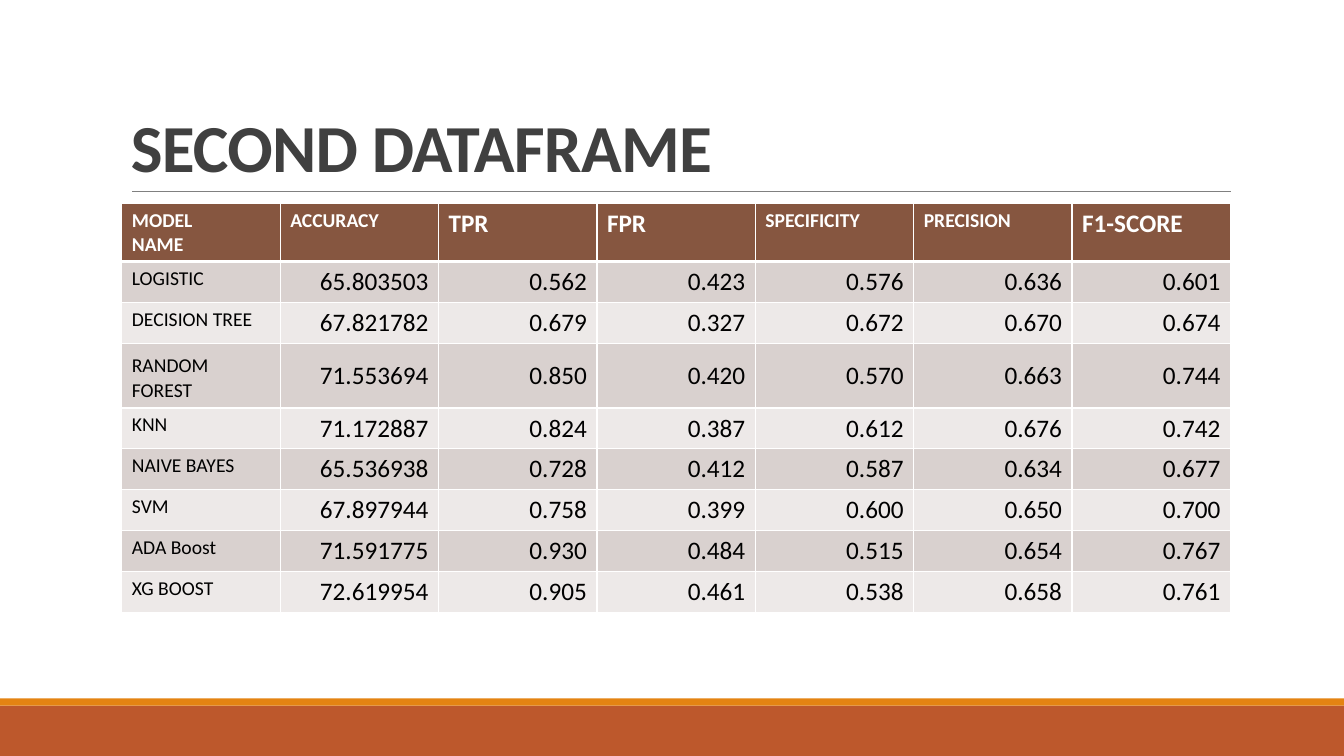
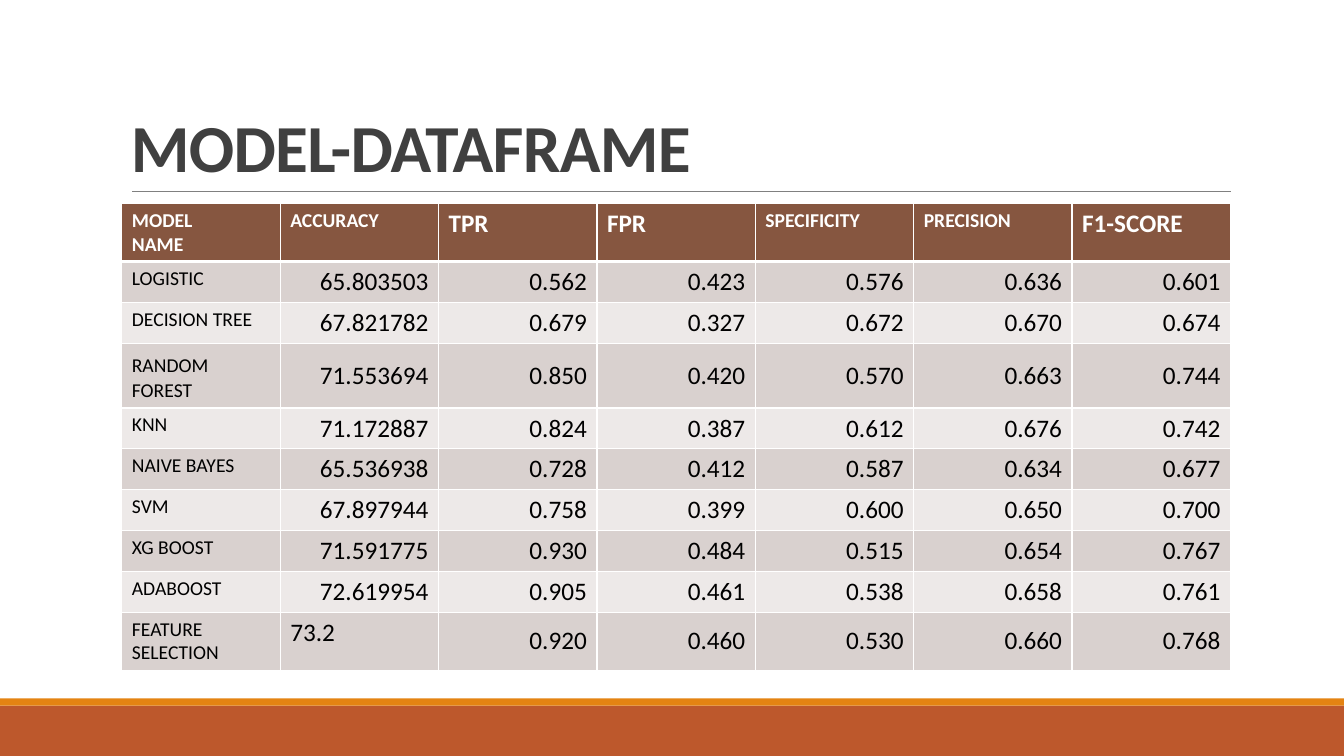
from dataclasses import dataclass

from lxml.etree import SubElement
from pptx import Presentation
from pptx.dml.color import RGBColor as Color
from pptx.enum.shapes import MSO_CONNECTOR as Connector, MSO_SHAPE as Shape
from pptx.enum.text import MSO_ANCHOR as Anchor, PP_ALIGN as Align
from pptx.oxml.ns import qn
from pptx.util import Inches, Pt


@dataclass(frozen=True)
class Theme:
    font: str = "Calibri"
    title_size: int = 48
    label_size: int = 14
    value_size: int = 18
    title: str = "404040"
    rule: str = "808080"
    band: str = "BD582C"
    stripe: str = "E48312"
    header: str = "865640"
    row_fills: tuple = ("D9D1CF", "EDE9E8")
    light: str = "FFFFFF"
    dark: str = "000000"


# The grid has 160 columns and 90 rows of square units.
GRID_COLUMNS, GRID_ROWS = 160, 90
ROW, TWO_LINE_ROW, LOOSE_ROW = 4.87, 6.89, 7.71

# Each heading with whether it is set in the larger size
HEADINGS = (
    ("MODEL\nNAME", False), ("ACCURACY", False), ("TPR", True), ("FPR", True),
    ("SPECIFICITY", False), ("PRECISION", False), ("F1-SCORE", True),
)
SCORES = (
    "65.803503 0.562 0.423 0.576 0.636 0.601",
    "67.821782 0.679 0.327 0.672 0.670 0.674",
    "71.553694 0.850 0.420 0.570 0.663 0.744",
    "71.172887 0.824 0.387 0.612 0.676 0.742",
    "65.536938 0.728 0.412 0.587 0.634 0.677",
    "67.897944 0.758 0.399 0.600 0.650 0.700",
    "71.591775 0.930 0.484 0.515 0.654 0.767",
    "72.619954 0.905 0.461 0.538 0.658 0.761",
    "73.2 0.920 0.460 0.530 0.660 0.768",
)
MODELS = ("LOGISTIC", "DECISION TREE", "RANDOM FOREST", "KNN", "NAIVE BAYES", "SVM")
PAGES = (
    ("SECOND DATAFRAME", MODELS + ("ADA Boost", "XG BOOST")),
    ("MODEL-DATAFRAME", MODELS + ("XG BOOST", "ADABOOST", "FEATURE SELECTION")),
)
ROW_HEIGHTS = {"RANDOM FOREST": LOOSE_ROW, "FEATURE SELECTION": TWO_LINE_ROW}
LARGE_SPACE_LABELS = {"RANDOM FOREST"}
LEFT_VALUES = {"73.2"}


class Report:
    def __init__(self, theme):
        self.theme = theme
        self.deck = Presentation()
        self.deck.slide_width, self.deck.slide_height = Inches(13.33), Inches(7.5)
        self.page = None

    def across(self, columns):
        return round(self.deck.slide_width * columns / GRID_COLUMNS)

    def down(self, rows):
        return round(self.deck.slide_height * rows / GRID_ROWS)

    def area(self, left, top, width, height):
        return self.across(left), self.down(top), self.across(width), self.down(height)

    def add_page(self, title):
        """Start a page with the shared bands, rule and title."""
        self.page = self.deck.slides.add_slide(self.deck.slide_layouts[6])
        self.band(84, 6, self.theme.band)
        self.band(83.16, 0.84, self.theme.stripe)
        self.rule(15.72, 146.52, 22.8)
        self.title(title)

    def band(self, top, height, color):
        box = self.page.shapes.add_shape(
            Shape.RECTANGLE, *self.area(0, top, GRID_COLUMNS, height))
        box.shadow.inherit = False
        box.fill.solid()
        box.fill.fore_color.rgb = Color.from_string(color)
        box.line.fill.background()

    def rule(self, left, right, level):
        line = self.page.shapes.add_connector(
            Connector.STRAIGHT, self.across(left), self.down(level),
            self.across(right), self.down(level))
        line.line.color.rgb = Color.from_string(self.theme.rule)
        line.line.width = Pt(0.5)
        SubElement(line._element.spPr, qn("a:effectLst"))

    def title(self, text):
        box = self.page.shapes.add_textbox(*self.area(14.4, 3.72, 132, 19.08))
        frame = box.text_frame
        frame.word_wrap = True
        frame.vertical_anchor = Anchor.BOTTOM
        frame.text = text
        para = frame.paragraphs[0]
        para.line_spacing = 0.85
        span = para.runs[0]
        self.style(span, self.theme.title_size, self.theme.title, bold=True)
        span._r.get_or_add_rPr().set("spc", "-50")

    def style(self, span, size, color, bold=False):
        font = span.font
        font.name, font.size, font.bold = self.theme.font, Pt(size), bold
        font.color.rgb = Color.from_string(color)

    def cell(self, cell, text, size, fill, color, bold=False, top=1, bottom=1):
        for side, width in (("L", 1), ("R", 1), ("T", top), ("B", bottom)):
            self.border(cell, side, width)
        cell.fill.solid()
        cell.fill.fore_color.rgb = Color.from_string(fill)
        cell.text_frame.text = text
        for para in cell.text_frame.paragraphs:
            for span in para.runs:
                self.style(span, size, color, bold)

    def border(self, cell, side, width):
        edge = SubElement(cell._tc.get_or_add_tcPr(), qn(f"a:ln{side}"), w=str(Pt(width)))
        SubElement(SubElement(edge, qn("a:solidFill")), qn("a:srgbClr"), val=self.theme.light)

    def enlarge_space(self, para):
        """Set the space between two words in the value size."""
        first, space, second = para.text.partition(" ")
        para.runs[0].text = first
        for text, size in ((space, self.theme.value_size), (second, self.theme.label_size)):
            span = para.add_run()
            span.text = text
            self.style(span, size, self.theme.dark)

    def score_table(self, models):
        theme = self.theme
        heights = [TWO_LINE_ROW] + [ROW_HEIGHTS.get(model, ROW) for model in models]
        table = self.page.shapes.add_table(
            len(heights), len(HEADINGS), *self.area(14.5, 24.24, 132, sum(heights))).table
        for row, height in zip(table.rows, heights):
            row.height = self.down(height)
        for column, (heading, large) in enumerate(HEADINGS):
            size = theme.value_size if large else theme.label_size
            self.cell(table.cell(0, column), heading, size, theme.header,
                      theme.light, bold=True, bottom=3)
        for row, (model, scores) in enumerate(zip(models, SCORES), start=1):
            fill = theme.row_fills[(row - 1) % 2]
            top = 3 if row == 1 else 1
            label = table.cell(row, 0)
            self.cell(label, model, theme.label_size, fill, theme.dark, top=top)
            if model in LARGE_SPACE_LABELS:
                self.enlarge_space(label.text_frame.paragraphs[0])
            for column, score in enumerate(scores.split(), start=1):
                value = table.cell(row, column)
                self.cell(value, score, theme.value_size, fill, theme.dark, top=top)
                if score not in LEFT_VALUES:
                    value.vertical_anchor = Anchor.MIDDLE
                    value.text_frame.paragraphs[0].alignment = Align.RIGHT


def main():
    report = Report(Theme())
    for title, models in PAGES:
        report.add_page(title)
        report.score_table(models)
    report.deck.save("out.pptx")


if __name__ == "__main__":
    main()
